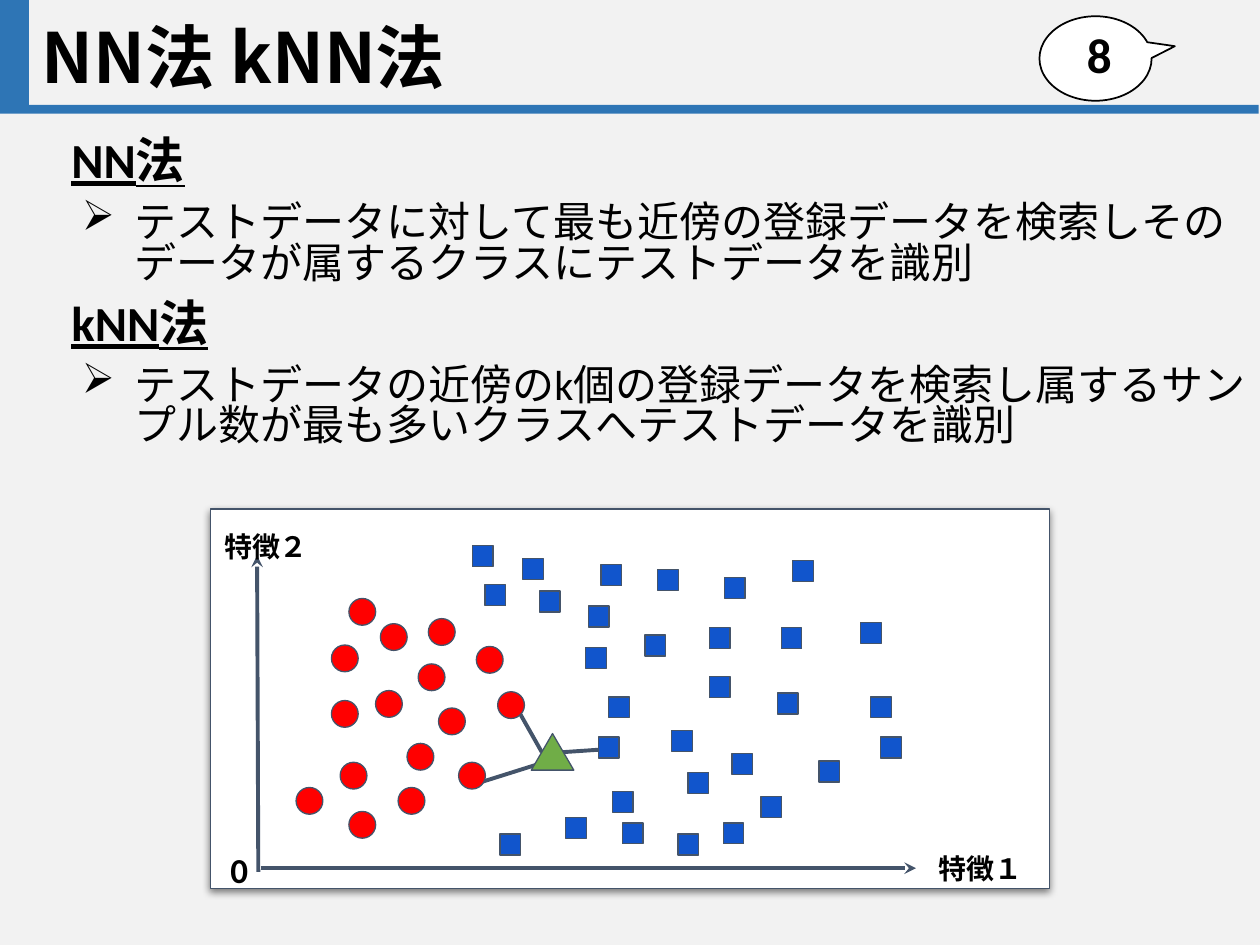
from lxml import etree
from pptx import Presentation
from pptx.dml.color import RGBColor
from pptx.enum.shapes import MSO_CONNECTOR, MSO_SHAPE
from pptx.enum.text import MSO_ANCHOR, PP_ALIGN
from pptx.oxml import parse_xml
from pptx.oxml.ns import nsdecls, qn
from pptx.util import Pt

COLORS = {name: RGBColor.from_string(value) for name, value in {
    "background": "F2F2F2", "bar": "2E75B5", "white": "FFFFFF", "black": "000000",
    "outline": "44546A", "red": "FF0000", "blue": "1155CC", "green": "70AD47",
}.items()}

prs = Presentation()
prs.slide_width, prs.slide_height = Pt(720), Pt(540)
s = prs.slides.add_slide(prs.slide_layouts[6])
s.background.fill.solid()
s.background.fill.fore_color.rgb = COLORS["background"]


def add_shape(kind, x, y, w, h, fill, line=None, width=0.75):
    sp = s.shapes.add_shape(kind, Pt(x), Pt(y), Pt(w), Pt(h))
    sp.shadow.inherit = False
    sp.fill.solid()
    sp.fill.fore_color.rgb = COLORS[fill]
    if line:
        sp.line.color.rgb = COLORS[line]
        sp.line.width = Pt(width)
    else:
        sp.line.fill.background()
    return sp


def add_text(x, y, w, h, lines, font="Calibri", inset=3.6, spacing=None, wrap=True):
    """Each line is (text, size, bold, underline)."""
    tf = s.shapes.add_textbox(Pt(x), Pt(y), Pt(w), Pt(h)).text_frame
    tf.word_wrap = wrap
    tf.margin_left = tf.margin_right = Pt(7.2)
    tf.margin_top = tf.margin_bottom = Pt(inset)
    for i, (text, size, bold, underline) in enumerate(lines):
        p = tf.add_paragraph() if i else tf.paragraphs[0]
        p.add_run().text = text
        p.font.name, p.font.size = font, Pt(size)
        p.font.bold, p.font.underline = bold, underline
        p.font.color.rgb = COLORS["black"]
        if spacing:
            p.line_spacing = spacing
    return tf


# Header bars and page number
add_shape(MSO_SHAPE.RECTANGLE, 0, 60, 719.3, 5, "bar")
add_shape(MSO_SHAPE.RECTANGLE, 0, 0, 16.5, 60.5, "bar")
callout = add_shape(MSO_SHAPE.OVAL_CALLOUT, 594, 9.3, 64.1, 48.3, "white", "black", 1)
callout.adjustments[0], callout.adjustments[1] = 0.707, -0.145
number = add_text(589, 12.2, 53.3, 37.4, [("8", 28, True, False)])
number.vertical_anchor = MSO_ANCHOR.MIDDLE
number.paragraphs[0].alignment = PP_ALIGN.RIGHT

# Title
title = add_text(16.6, 8.6, 577.4, 52.6, [("NN法 kNN法", 39.6, True, False)],
                 font="Noto Sans CJK JP", spacing=0.9)
title.vertical_anchor = MSO_ANCHOR.MIDDLE

# Explanations: heading, then bulleted text
body = add_text(33.8, 77, 686.2, 210.2, [
    ("NN法", 28, True, True),
    ("テストデータに対して最も近傍の登録データを検索しそのデータが属するクラスにテストデータを識別", 24, False, False),
    ("kNN法", 28, True, True),
    ("テストデータの近傍のk個の登録データを検索し属するサンプル数が最も多いクラスへテストデータを識別", 24, False, False),
], spacing=0.8)
for i, p in enumerate(body.paragraphs):
    p.space_before = Pt(10)
    if i % 2:
        pPr = p._p.get_or_add_pPr()
        pPr.set("marL", str(Pt(36)))
        pPr.set("indent", str(Pt(-30)))
        defaults = pPr.find(qn("a:defRPr"))
        defaults.addprevious(parse_xml(
            f'<a:buClr {nsdecls("a")}><a:srgbClr val="000000"/></a:buClr>'))
        defaults.addprevious(parse_xml(f'<a:buChar {nsdecls("a")} char="➢"/>'))

# Chart panel with a soft shadow
panel = add_shape(MSO_SHAPE.RECTANGLE, 120.2, 290.9, 479.5, 216.7, "white", "outline")
effects = panel._element.spPr.find(qn("a:effectLst"))
effects.append(parse_xml(
    f'<a:outerShdw {nsdecls("a")} blurRad="{Pt(4.5)}" dist="{Pt(1.5)}" dir="5400000" '
    'algn="bl" rotWithShape="0"><a:srgbClr val="000000"><a:alpha val="50000"/>'
    '</a:srgbClr></a:outerShdw>'))

# Axes with arrowheads, and links from the test sample to its neighbours
for x1, y1, x2, y2, arrow in [
    (147.6, 498.2, 146.9, 317.5, True), (149, 496.1, 523.4, 496.1, True),
    (309.6, 429.8, 297.4, 408.2, False), (313.2, 434.9, 272.2, 447.8, False),
    (352.8, 427.7, 321.8, 429.8, False),
]:
    link = s.shapes.add_connector(MSO_CONNECTOR.STRAIGHT, Pt(x1), Pt(y1), Pt(x2), Pt(y2))
    link.line.color.rgb = COLORS["outline"]
    link.line.width = Pt(2.25)
    if arrow:
        etree.SubElement(link.line._get_or_add_ln(), qn("a:tailEnd"), type="stealth")
    etree.SubElement(link._element.spPr, qn("a:effectLst"))

# Axis labels
for text, size, x, y, w, h in [
    ("特徴2".replace("2", "２"), 16, 121, 295.2, 63.4, 33.8),
    ("特徴１", 16, 529.2, 479.5, 67.7, 33.8),
    ("0", 20, 124.6, 477.4, 24.5, 38.9),
]:
    add_text(x, y, w, h, [(text, size, True, False)], inset=7.2, wrap=False)

# Samples of the two classes
circles = [
    (284.4, 395.3), (189.4, 400.3), (250.6, 404.6), (272.2, 369.4), (194.4, 435.6),
    (189.4, 368.6), (232.6, 424.8), (169.2, 450), (244.8, 353.5), (214.6, 394.6),
    (199.4, 463.7), (239, 379.4), (227.5, 450), (199.4, 342), (217.4, 356.4),
    (262.1, 435.6),
]
squares = [
    (452.9, 320.4), (497.5, 398.2), (393.1, 441.4), (444.2, 396), (347.8, 398.2),
    (405.4, 358.6), (368.6, 362.9), (285.8, 476.6), (277.2, 334.1), (413.3, 470.2),
    (434.9, 455), (387.4, 476.6), (323.3, 467.3), (405.4, 386.6), (418.3, 430.6),
    (468, 434.9), (349.9, 452.2), (355.7, 470.2), (308.2, 337.7), (375.8, 325.4),
    (270, 311.8), (298.8, 319), (491.8, 355.7), (343.4, 322.6), (334.8, 370.1),
    (383.8, 417.6), (503.3, 421.2), (446.4, 358.6), (336.2, 346.3), (414, 329.8),
    (342, 421.2),
]
for kind, points, w, h, fill in [
    (MSO_SHAPE.FLOWCHART_CONNECTOR, circles, 15.3, 15.3, "red"),
    (MSO_SHAPE.FLOWCHART_PROCESS, squares, 11.8, 12, "blue"),
    (MSO_SHAPE.FLOWCHART_EXTRACT, [(303.6, 419.2)], 24.3, 20.9, "green"),
]:
    for x, y in points:
        add_shape(kind, x, y, w, h, fill, "outline")

prs.save("out.pptx")
